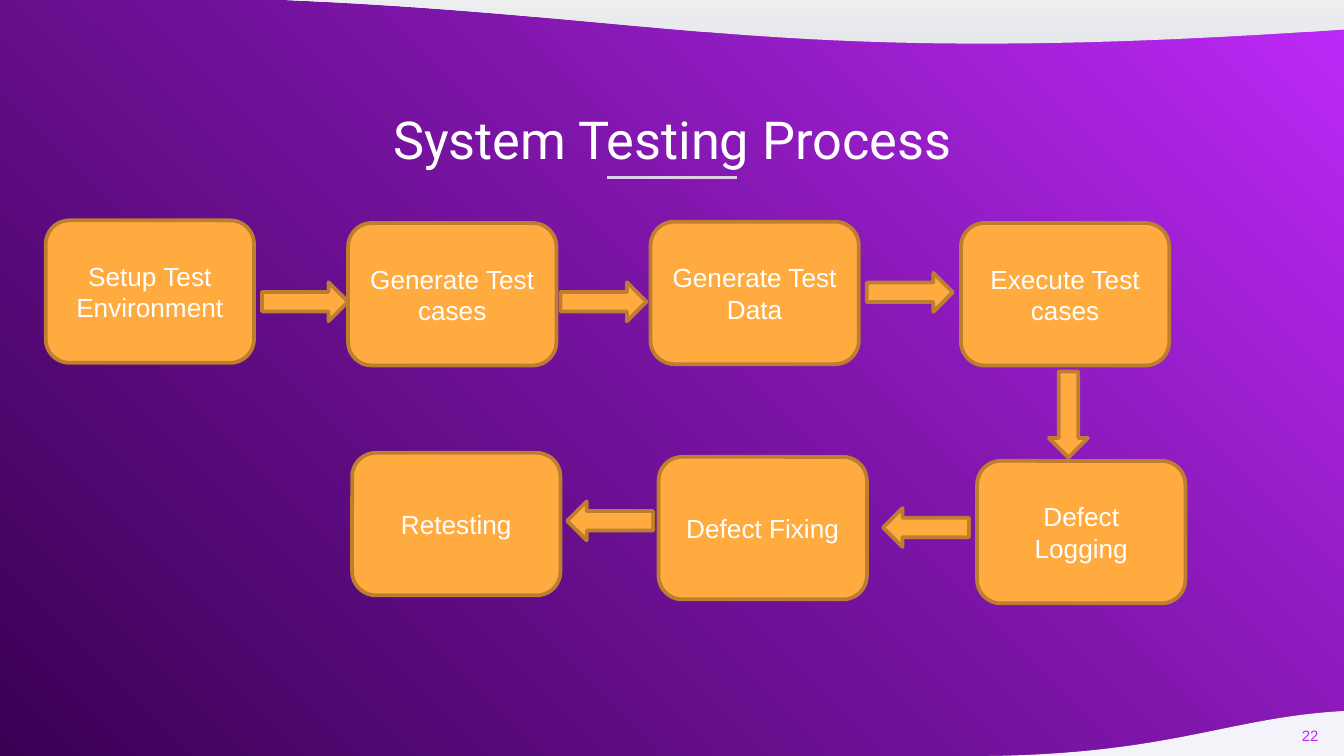
from copy import deepcopy

from pptx import Presentation
from pptx.dml.color import RGBColor
from pptx.enum.shapes import MSO_CONNECTOR, MSO_SHAPE
from pptx.enum.text import MSO_ANCHOR, MSO_AUTO_SIZE, PP_ALIGN
from pptx.oxml.ns import qn
from pptx.util import Inches, Pt
from lxml import etree

WHITE = RGBColor(0xFF, 0xFF, 0xFF)
AMBER = RGBColor(0xFF, 0xAB, 0x40)
BROWN = RGBColor(0xBD, 0x7F, 0x2F)
LILAC = RGBColor(0xDF, 0xCF, 0xE7)
VIOLET = RGBColor(0xBE, 0x29, 0xF9)
PURPLE = RGBColor(0x7C, 0x15, 0xA7)
PLUM = RGBColor(0x39, 0x00, 0x54)
GREY = RGBColor(0xE6, 0xE8, 0xEB)
PALE = RGBColor(0xF3, 0xF4, 0xF5)
MIST = RGBColor(0xF3, 0xF3, 0xFA)
SNOW = RGBColor(0xF9, 0xF9, 0xFD)

WAVE = MSO_SHAPE.FLOWCHART_DOCUMENT
STEP = MSO_SHAPE.FLOWCHART_ALTERNATE_PROCESS
ARROW = MSO_SHAPE.RIGHT_ARROW
STRAIGHT = MSO_CONNECTOR.STRAIGHT
CENTER, RIGHT = PP_ALIGN.CENTER, PP_ALIGN.RIGHT
TOP, MIDDLE = MSO_ANCHOR.TOP, MSO_ANCHOR.MIDDLE
NO_FIT = MSO_AUTO_SIZE.NONE

COLS, ROWS, CELL = 40, 22.5, 0.25   # square grid cells, in inches
STEP_SIZE = 6.2, 4.24
ARROW_SIZE = 2.56, 1.16

STEPS = [
    ("Setup Test Environment", 1.36, 6.56),
    ("Generate Test cases", 10.36, 6.64),
    ("Generate Test Data", 19.36, 6.6),
    ("Execute Test cases", 28.6, 6.64),
    ("Defect Logging", 29.08, 13.72),
    ("Defect Fixing", 19.6, 13.6),
    ("Retesting", 10.48, 13.48),
]
ARROWS = [   # column, row, turn
    (7.8, 8.4, 0), (16.68, 8.4, 0), (25.8, 8.12, 0),
    (30.52, 11.76, 90),
    (26.28, 15.12, 180), (16.88, 14.92, 180),
]


def grid(*cells):
    return [Inches(n * CELL) for n in cells]


class Deck:
    """Holds the style and the current slide."""

    def __init__(self):
        self.show = Presentation()
        self.show.slide_width, self.show.slide_height = grid(COLS, ROWS)
        self.slide = self.show.slides.add_slide(self.show.slide_layouts[5])
        self.shapes = self.slide.shapes

    def blend(self, fill, root, angle, stops):
        """Fill with a gradient of (share, colour) stops."""
        fill.gradient()
        fill.gradient_angle = angle
        items = next(root.iter(qn("a:gsLst")))
        while len(items) < len(stops):
            items.append(deepcopy(items[0]))
        for stop, (share, color) in zip(fill.gradient_stops, stops):
            stop.position = share
            stop.color.rgb = color

    def backdrop(self, angle, stops):
        self.blend(self.slide.background.fill, self.slide.element, angle, stops)

    def shape(self, kind, *box):
        shape = self.shapes.add_shape(kind, *grid(*box))
        shape.shadow.inherit = False
        return shape

    def wave(self, box, stops):
        wave = self.shape(WAVE, *box)
        wave.line.fill.background()
        self.blend(wave.fill, wave.element, 90, stops)
        return wave

    def block(self, kind, *box):
        block = self.shape(kind, *box)
        block.fill.solid()
        block.fill.fore_color.rgb = AMBER
        block.line.color.rgb = BROWN
        block.line.width = Pt(2)
        return block

    def label(self, shape, text, size, color, font="Arial", align=CENTER,
              anchor=MIDDLE):
        frame = shape.text_frame
        frame.text = text
        frame.word_wrap = True
        frame.auto_size = NO_FIT
        frame.vertical_anchor = anchor
        para = frame.paragraphs[0]
        para.alignment = align
        para.font.name = font
        para.font.size = Pt(size)
        para.font.color.rgb = color
        return frame

    def pad(self, frame):
        frame.margin_left = frame.margin_right = Inches(0.1)
        frame.margin_top = frame.margin_bottom = Inches(0.1)

    def title(self, text, *box):
        title = self.shapes.title
        title.left, title.top, title.width, title.height = grid(*box)
        self.pad(self.label(title, text, 28, WHITE, "Roboto", anchor=TOP))

    def number(self, text, *box):
        number = self.shapes.add_textbox(*grid(*box))
        self.pad(self.label(number, text, 8, VIOLET, align=RIGHT))

    def rule(self, *ends):
        rule = self.shapes.add_connector(STRAIGHT, *grid(*ends))
        rule.line.color.rgb = LILAC
        rule.line.width = Pt(1.5)
        etree.SubElement(rule._element.spPr, qn("a:effectLst"))

    def step(self, text, col, row):
        self.label(self.block(STEP, col, row, *STEP_SIZE), text, 14, WHITE)

    def arrow(self, col, row, turn):
        self.block(ARROW, col, row, *ARROW_SIZE).rotation = turn


def main():
    deck = Deck()
    deck.backdrop(225, [(0, VIOLET), (0.45, PURPLE), (1, PLUM)])
    upper = deck.wave((-0.08, -6.56, 40.12, 7.96),
                      [(0, GREY), (0.34, PALE), (1, WHITE)])
    upper.element.spPr.xfrm.set("flipH", "1")
    lower = deck.wave((28.8, 21.04, 16.72, 7.4),
                      [(0, MIST), (0.89, SNOW), (1, WHITE)])
    lower.rotation = 180
    deck.rule(18.08, 5.28, 21.92, 5.28)
    deck.title("System Testing Process", 1.36, 2.8, 37.28, 2.28)
    deck.number("22", 37.24, 21.04, 2.4, 1.72)
    for step in STEPS:
        deck.step(*step)
    for arrow in ARROWS:
        deck.arrow(*arrow)
    deck.show.save("out.pptx")


if __name__ == "__main__":
    main()
